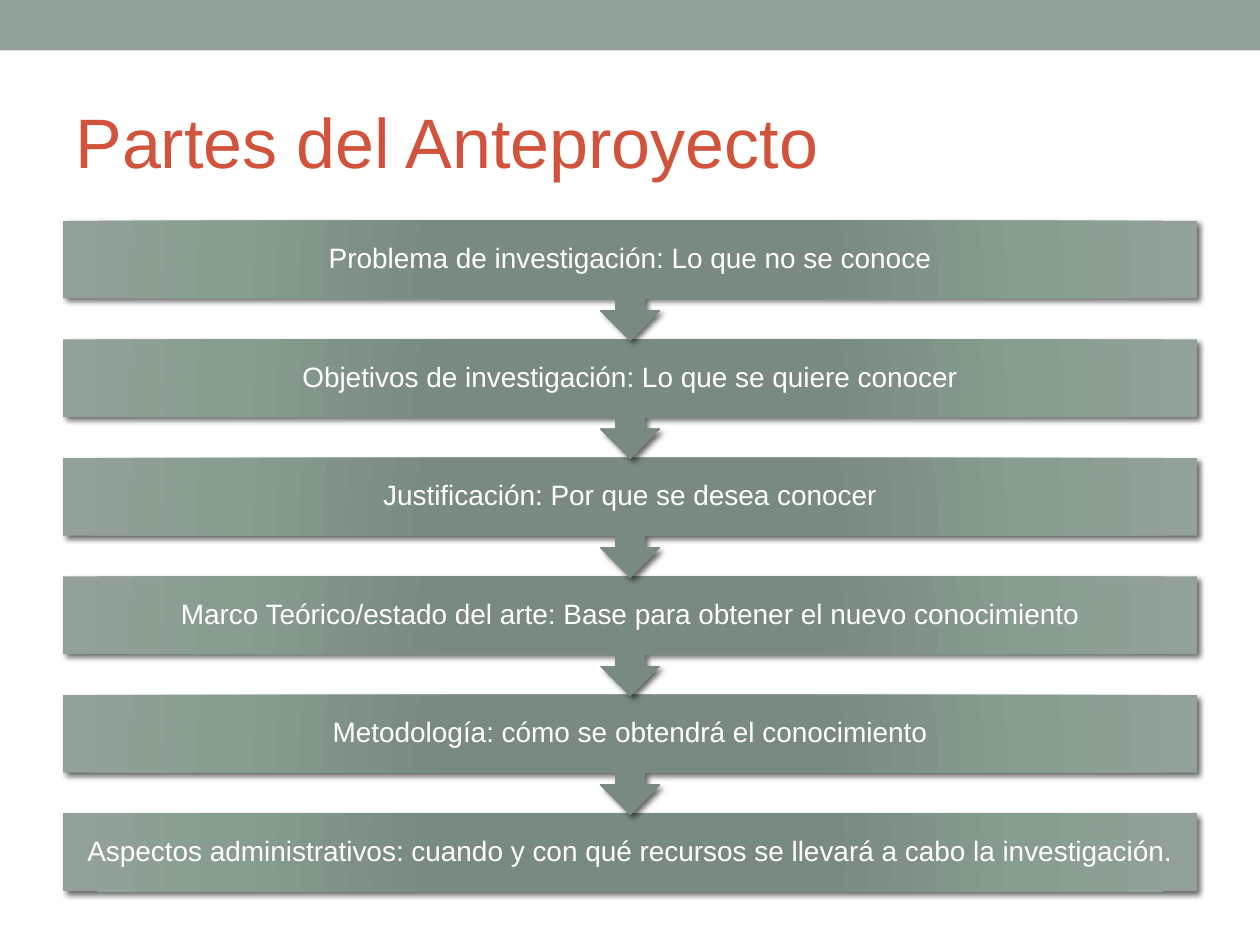
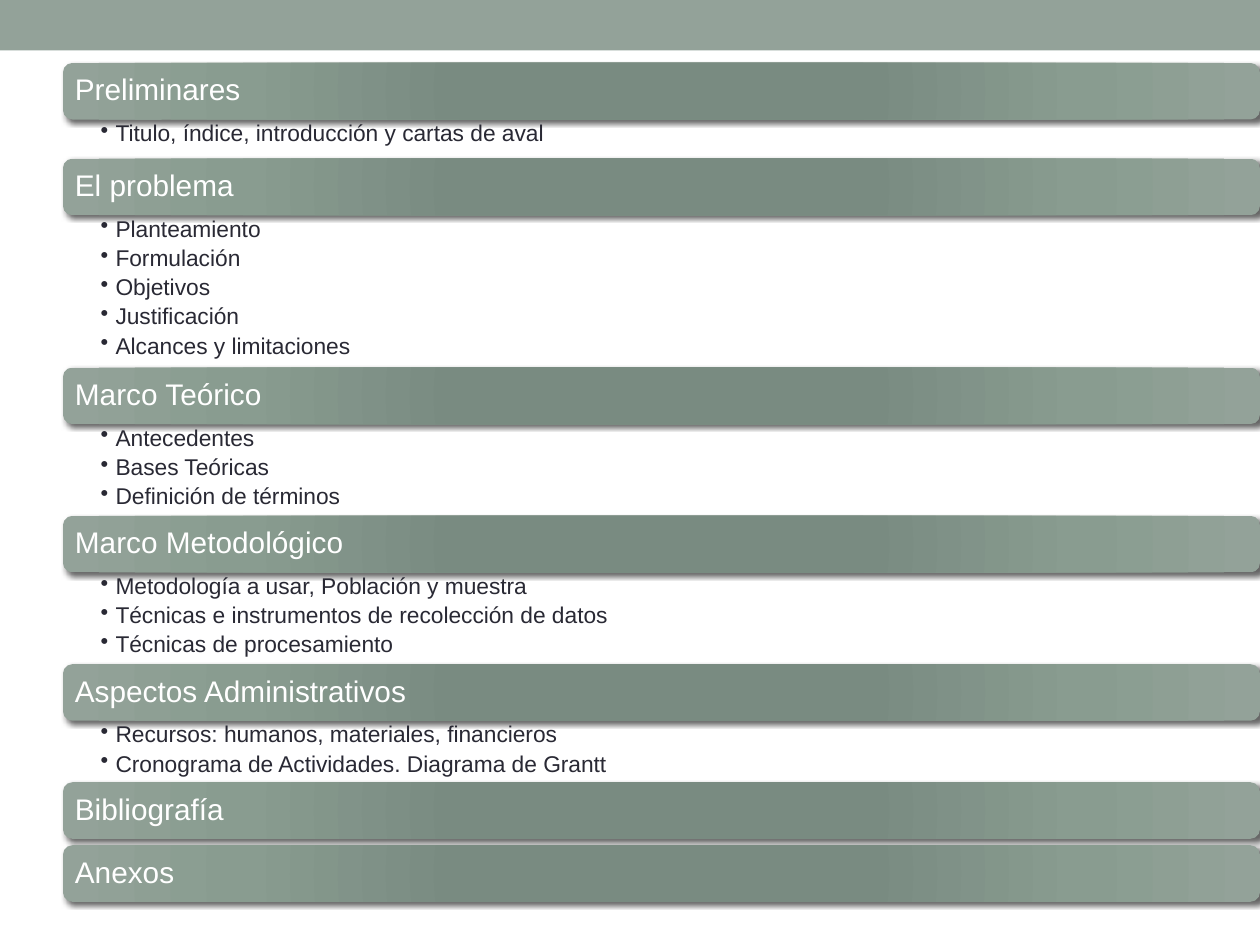
import pptx
import pptx.util
import pptx.dml.color
import pptx.enum.shapes
import pptx.enum.text
import pptx.oxml
import pptx.oxml.ns
import lxml.etree

Cm = pptx.util.Cm
Pt = pptx.util.Pt
Shape = pptx.enum.shapes.MSO_SHAPE
Anchor = pptx.enum.text.MSO_ANCHOR
Align = pptx.enum.text.PP_ALIGN
qn = pptx.oxml.ns.qn

FONT = "Arial"
COLORS = {"band": "93A299", "title": "D2533C", "body": "292934",
          "light": "FFFFFF", "shadow": "000000"}
# Radial gradient, from the centre outwards
GRADIENT = [(0, "788C81"), (34, "798B81"), (70, "899C90"), (100, "93A299")]

# Lengths in centimetres
SLIDE_WIDTH, SLIDE_HEIGHT = 25.4, 19.05
LEFT = 1.27
BAND_HEIGHT = 1.02

STEP_TOP, STEP_PITCH, STEP_WIDTH = 4.45, 2.39, 22.86
STEP_HEIGHT, CALLOUT_HEIGHT = 1.57, 2.41
STEPS = [
    "Problema de investigación: Lo que no se conoce",
    "Objetivos de investigación: Lo que se quiere conocer",
    "Justificación: Por que se desea conocer",
    "Marco Teórico/estado del arte: Base para obtener el nuevo conocimiento",
    "Metodología: cómo se obtendrá el conocimiento",
    "Aspectos administrativos: cuando y con qué recursos se llevará a cabo la investigación.",
]

SECTION_TOP, SECTION_HEIGHT, SECTION_GAP = 1.27, 1.14, 0.13
SECTION_WIDTH = SLIDE_WIDTH - LEFT
LABEL_MARGIN = 0.06
SECTIONS = [
    ("Preliminares", ["Titulo, índice, introducción y cartas de aval"]),
    ("El problema", ["Planteamiento", "Formulación", "Objetivos",
                     "Justificación", "Alcances y limitaciones"]),
    ("Marco Teórico", ["Antecedentes", "Bases Teóricas",
                       "Definición de términos"]),
    ("Marco Metodológico", ["Metodología a usar, Población y muestra",
                            "Técnicas e instrumentos de recolección de datos",
                            "Técnicas de procesamiento"]),
    ("Aspectos Administrativos", ["Recursos: humanos, materiales, financieros",
                                  "Cronograma de Actividades. Diagrama de Grantt"]),
    ("Bibliografía", []),
    ("Anexos", []),
]


def rgb(name):
    return pptx.dml.color.RGBColor.from_string(COLORS[name])


def add_element(parent, tag, **attributes):
    element = lxml.etree.SubElement(parent, qn(tag))
    for name, value in attributes.items():
        element.set(name, str(value))
    return element


def write_text(shape, lines, size, color, align=Align.LEFT, anchor=Anchor.MIDDLE,
               insets=(0.25, 0.13, 0.25, 0.13), line_spacing=0.9, bullets=False):
    """Write one paragraph per line into a shape's text frame."""
    frame = shape.text_frame
    frame.word_wrap = True
    frame.auto_size = pptx.enum.text.MSO_AUTO_SIZE.NONE
    frame.vertical_anchor = anchor
    (frame.margin_left, frame.margin_top,
     frame.margin_right, frame.margin_bottom) = map(Cm, insets)
    for index, line in enumerate(lines):
        paragraph = frame.add_paragraph() if index else frame.paragraphs[0]
        paragraph.alignment = align
        paragraph.line_spacing = line_spacing
        run = paragraph.add_run()
        run.text = line
        run.font.name = FONT
        run.font.size = Pt(size)
        run.font.color.rgb = rgb(color)
        if bullets:
            paragraph.level = 1
            paragraph.space_before = Pt(2.6 if index else 0)
            add_bullet(paragraph, color)


def add_bullet(paragraph, color):
    properties = paragraph._p.get_or_add_pPr()
    properties.set("marL", str(Cm(0.3)))
    properties.set("indent", str(-Cm(0.3)))
    bullet_color = add_element(properties, "a:buClr")
    add_element(bullet_color, "a:srgbClr", val=COLORS[color])
    add_element(properties, "a:buChar", char="•")


def add_text(slide, lines, left, top, width, height, **text_format):
    box = slide.shapes.add_textbox(Cm(left), Cm(top), Cm(width), Cm(height))
    write_text(box, lines, **text_format)


def add_plain_shape(slide, kind, left, top, width, height):
    shape = slide.shapes.add_shape(kind, Cm(left), Cm(top), Cm(width), Cm(height))
    shape.shadow.inherit = False
    shape.fill.solid()
    shape.fill.fore_color.rgb = rgb("band")
    shape.line.fill.background()
    return shape


def add_gradient_shape(slide, kind, left, top, width, height):
    """Add a shape with the radial gradient and a soft shadow."""
    shape = add_plain_shape(slide, kind, left, top, width, height)
    properties = shape._element.spPr

    solid = properties.find(qn("a:solidFill"))
    gradient = pptx.oxml.parse_xml(
        '<a:gradFill %s rotWithShape="1"/>' % pptx.oxml.ns.nsdecls("a"))
    stops = add_element(gradient, "a:gsLst")
    for position, color in GRADIENT:
        stop = add_element(stops, "a:gs", pos=position * 1000)
        add_element(stop, "a:srgbClr", val=color)
    circle = add_element(gradient, "a:path", path="circle")
    add_element(circle, "a:fillToRect", l=50000, t=50000, r=50000, b=50000)
    properties.replace(solid, gradient)

    shadow = add_element(properties.find(qn("a:effectLst")), "a:outerShdw",
                         blurRad=Pt(3), dist=Pt(2), dir=45 * 60000,
                         rotWithShape=0)
    shadow_color = add_element(shadow, "a:srgbClr", val=COLORS["shadow"])
    add_element(shadow_color, "a:alpha", val=60000)
    return shape


def move_band_to_master(presentation, slide):
    """Draw the top band once and let every slide inherit it."""
    band = add_plain_shape(slide, Shape.RECTANGLE, 0, 0, SLIDE_WIDTH, BAND_HEIGHT)
    presentation.slide_master.shapes.element.insert(2, band._element)


def add_title(slide, title):
    placeholder = slide.shapes.title
    placeholder.left, placeholder.top = Cm(LEFT), Cm(1.47)
    placeholder.width, placeholder.height = Cm(22.86), Cm(2.74)
    write_text(placeholder, [title], size=40, color="title", line_spacing=1.0)


def add_step(slide, label, top, is_last):
    if is_last:
        add_gradient_shape(slide, Shape.RECTANGLE, LEFT, top, STEP_WIDTH, STEP_HEIGHT)
    else:
        callout = add_gradient_shape(slide, Shape.UP_ARROW_CALLOUT, LEFT, top,
                                     STEP_WIDTH, CALLOUT_HEIGHT)
        callout.rotation = 180
        for index, value in enumerate((0.25, 0.25, 0.25, 0.65)):
            callout.adjustments[index] = value
    add_text(slide, [label], LEFT, top, STEP_WIDTH, STEP_HEIGHT, size=16,
             color="light", align=Align.CENTER, insets=(0.3, 0.3, 0.3, 0.3))


def add_section(slide, heading, items, top):
    """Add a heading bar with its bullets and return where the next one starts."""
    bar = add_gradient_shape(slide, Shape.ROUNDED_RECTANGLE, LEFT, top,
                             SECTION_WIDTH, SECTION_HEIGHT)
    bar.adjustments[0] = 0.167
    add_text(slide, [heading], LEFT + LABEL_MARGIN, top + LABEL_MARGIN,
             SECTION_WIDTH - 2 * LABEL_MARGIN, SECTION_HEIGHT - 2 * LABEL_MARGIN,
             size=17, color="light", insets=(0.18, 0.18, 0.18, 0.18))
    bottom = top + SECTION_HEIGHT
    if not items:
        return bottom + SECTION_GAP
    height = max(0.79, 0.61 * len(items) + 0.02)
    add_text(slide, items, LEFT, bottom, SECTION_WIDTH, height, size=13,
             color="body", anchor=Anchor.TOP, insets=(0.76, 0.05, 0.33, 0.05),
             bullets=True)
    return bottom + height


def main():
    presentation = pptx.Presentation()
    presentation.slide_width = Cm(SLIDE_WIDTH)
    presentation.slide_height = Cm(SLIDE_HEIGHT)
    title_only, blank = presentation.slide_layouts[5], presentation.slide_layouts[6]

    # Slide 1: chain of steps, drawn from the last so each arrow lies on top
    slide = presentation.slides.add_slide(title_only)
    move_band_to_master(presentation, slide)
    add_title(slide, "Partes del Anteproyecto")
    for index, label in reversed(list(enumerate(STEPS))):
        add_step(slide, label, STEP_TOP + index * STEP_PITCH,
                 is_last=index == len(STEPS) - 1)

    # Slide 2: stacked sections
    slide = presentation.slides.add_slide(blank)
    top = SECTION_TOP
    for heading, items in SECTIONS:
        top = add_section(slide, heading, items, top)

    presentation.save("out.pptx")


main()
